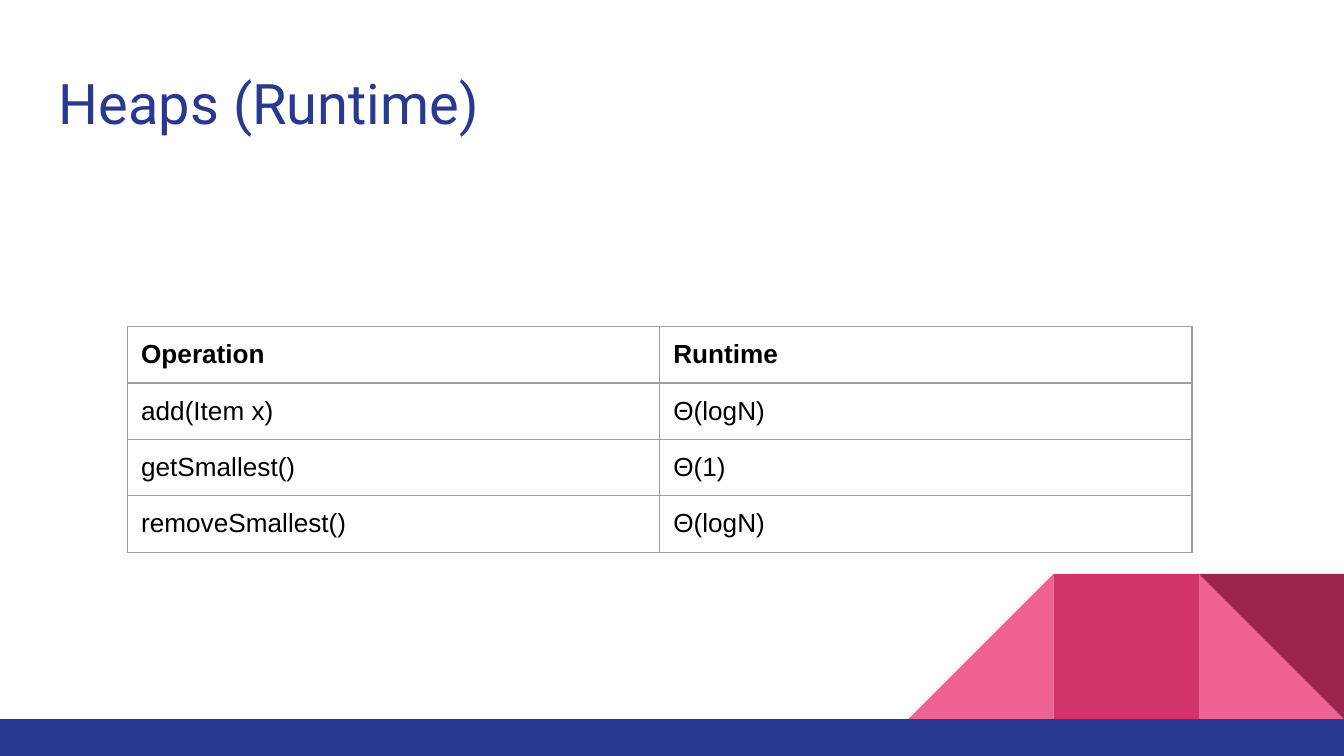
import pptx
import pptx.dml.color
import pptx.enum.shapes
import pptx.enum.text
import pptx.oxml
import pptx.oxml.ns
import pptx.util
from pptx.util import Inches, Pt

TITLE = "Heaps (Runtime)"
ROWS = [
    ("Operation", "Runtime"),
    ("add(Item x)", "Θ(logN)"),
    ("getSmallest()", "Θ(1)"),
    ("removeSmallest()", "Θ(logN)"),
]
BLUE, PINK, ROSE, WINE = "2A3990", "F06292", "D23369", "9C254D"
BLACK, GREY = "000000", "9E9E9E"

MSO_SHAPE = pptx.enum.shapes.MSO_SHAPE
TRIANGLE, RECT = MSO_SHAPE.RIGHT_TRIANGLE, MSO_SHAPE.RECTANGLE
SLIDE_W = 10
SLIDE_H = SLIDE_W * 9 / 16
TILE = 1.08
BAR_TOP = 5.35
# Kind, tiles from the right edge, fill, rotation, mirrored
TILES = [
    (TRIANGLE, 1, PINK, 0, False),
    (TRIANGLE, 3, PINK, 0, True),
    (RECT, 2, ROSE, 0, False),
    (TRIANGLE, 1, WINE, 180, False),
]
TABLE_LEFT, TABLE_TOP, COL_W, ROW_H = 0.95, 2.43, 3.96, 0.42


def rgb(color):
    return pptx.dml.color.RGBColor.from_string(color)


def add_block(kind, left, top, width, height, fill):
    sp = s.shapes.add_shape(kind, Inches(left), Inches(top), Inches(width), Inches(height))
    sp.shadow.inherit = False
    sp.fill.solid()
    sp.fill.fore_color.rgb = rgb(fill)
    sp.line.fill.background()
    return sp


def set_insets(box, bottom=0.1):
    box.margin_left = box.margin_right = box.margin_top = Inches(0.1)
    box.margin_bottom = Inches(bottom)


def style_text(p, text, size, font, color, bold=False):
    p.text = text
    p.font.size = Pt(size)
    p.font.name = font
    p.font.bold = bold
    p.font.color.rgb = rgb(color)


def add_borders(cell):
    tc_pr = cell._tc.get_or_add_tcPr()
    for i, side in enumerate(("lnL", "lnR", "lnT", "lnB")):
        tc_pr.insert(i, pptx.oxml.parse_xml(
            f'<a:{side} {pptx.oxml.ns.nsdecls("a")} w="{Pt(0.75)}"><a:solidFill>'
            f'<a:srgbClr val="{GREY}"/></a:solidFill></a:{side}>'))


prs = pptx.Presentation()
prs.slide_width, prs.slide_height = Inches(SLIDE_W), Inches(SLIDE_H)
s = prs.slides.add_slide(prs.slide_layouts[6])

for kind, steps, fill, rotation, mirrored in TILES:
    sp = add_block(kind, SLIDE_W - steps * TILE, BAR_TOP - TILE, TILE, TILE, fill)
    sp.rotation = rotation
    if mirrored:
        sp._element.spPr.xfrm.set("flipH", "1")
add_block(RECT, 0, BAR_TOP, SLIDE_W, SLIDE_H - BAR_TOP, BLUE)

title = s.shapes.add_textbox(Inches(0.34), Inches(0.45), Inches(9.32), Inches(0.66))
tf = title.text_frame
tf.word_wrap = True
tf.vertical_anchor = pptx.enum.text.MSO_ANCHOR.BOTTOM
set_insets(tf)
style_text(tf.paragraphs[0], TITLE, 30, "Roboto", BLUE)

n_rows, n_cols = len(ROWS), len(ROWS[0])
table = s.shapes.add_table(n_rows, n_cols, Inches(TABLE_LEFT), Inches(TABLE_TOP),
                           Inches(n_cols * COL_W), Inches(n_rows * ROW_H)).table
for col in table.columns:
    col.width = Inches(COL_W)
for i, row in enumerate(ROWS):
    table.rows[i].height = Inches(ROW_H)
    for j, text in enumerate(row):
        cell = table.cell(i, j)
        cell.fill.background()
        set_insets(cell, bottom=0.08)  # lets the text fit the row height
        add_borders(cell)
        style_text(cell.text_frame.paragraphs[0], text, 14, "Arial", BLACK, bold=i == 0)

prs.save("out.pptx")
